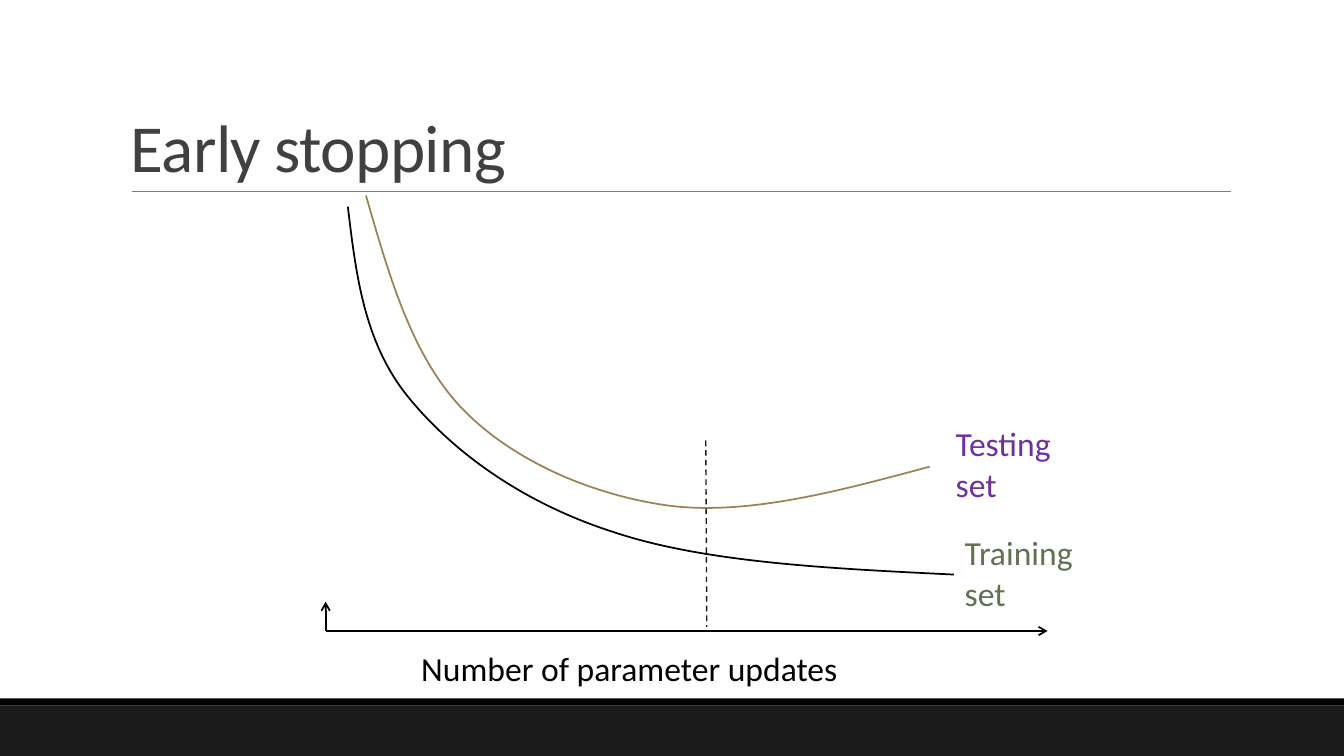
from lxml import etree
from pptx import Presentation
from pptx.dml.color import RGBColor
from pptx.enum.dml import MSO_LINE
from pptx.enum.shapes import MSO_CONNECTOR, MSO_SHAPE
from pptx.enum.text import MSO_ANCHOR, MSO_AUTO_SIZE
from pptx.oxml.ns import qn
from pptx.util import Pt

PX = 9144
STRAIGHT = MSO_CONNECTOR.STRAIGHT
RECTANGLE = MSO_SHAPE.RECTANGLE
DASH = MSO_LINE.DASH
TOP, BOTTOM = MSO_ANCHOR.TOP, MSO_ANCHOR.BOTTOM
FIXED, GROW = MSO_AUTO_SIZE.NONE, MSO_AUTO_SIZE.SHAPE_TO_FIT_TEXT

THEME = {
    "font": "Calibri",
    "title_size": 48,
    "label_size": 24,
    "title": RGBColor(0x40, 0x40, 0x40),
    "rule": RGBColor(0x80, 0x80, 0x80),
    "black": RGBColor(0, 0, 0),
    "footer": RGBColor(0x1C, 0x1C, 0x1C),
    "testing_curve": RGBColor(0x9B, 0x83, 0x57),
    "testing": RGBColor(0x70, 0x30, 0xA0),
    "training": RGBColor(0x63, 0x70, 0x52),
}

prs = Presentation()
prs.slide_width, prs.slide_height = 1333 * PX, 750 * PX
slide = prs.slides.add_slide(prs.slide_layouts[6])
shapes = slide.shapes


def add_text(text, box, color, size=THEME["label_size"], anchor=TOP, fit=GROW,
             line_spacing=None, tracking=None):
    frame = shapes.add_textbox(*(value * PX for value in box)).text_frame
    frame.word_wrap = True
    frame.auto_size = fit
    frame.vertical_anchor = anchor
    paragraph = frame.paragraphs[0]
    paragraph.line_spacing = line_spacing
    run = paragraph.add_run()
    run.text = text
    run.font.name = THEME["font"]
    run.font.size = Pt(size)
    run.font.color.rgb = color
    if tracking is not None:
        run.font._element.set("spc", str(tracking))


def add_line(ends, color, width, dash=None, arrow=False):
    connector = shapes.add_connector(STRAIGHT, *(value * PX for value in ends))
    connector.line.color.rgb = color
    connector.line.width = Pt(width)
    if dash is not None:
        connector.line.dash_style = dash
    if arrow:
        etree.SubElement(connector.line._get_or_add_ln(), qn("a:tailEnd"), type="arrow")
    etree.SubElement(connector._element.spPr, qn("a:effectLst"))


for top, height, color in ((700, 50, THEME["footer"]), (693, 7, THEME["black"])):
    band = shapes.add_shape(RECTANGLE, 0, top * PX, prs.slide_width, height * PX)
    band.shadow.inherit = False
    band.fill.solid()
    band.fill.fore_color.rgb = color
    band.line.fill.background()

add_line((131, 190, 1221, 190), THEME["rule"], 0.5)
add_text("Early stopping", (120, 31, 1100, 159), THEME["title"], size=THEME["title_size"],
         anchor=BOTTOM, fit=FIXED, line_spacing=0.85, tracking=-50)

for axis_end in ((1039, 626), (323, 597)):
    add_line((323, 626, *axis_end), THEME["black"], 1.25, arrow=True)

training_curve = [(345, 205), (353, 272), (361, 340), (405, 394), (449, 448),
                  (518, 499), (609, 528), (699, 558), (822, 564), (946, 570)]
testing_curve = [(363, 194), (386, 274), (409, 355), (460, 407), (510, 458),
                 (589, 492), (666, 502), (744, 511), (833, 487), (922, 463)]

for controls, color in ((training_curve, THEME["black"]), (testing_curve, THEME["testing_curve"])):
    builder = shapes.build_freeform(*controls[0], scale=PX)
    builder.add_line_segments(controls[1:], close=False)
    curve = builder.convert_to_shape()
    outline = curve._element.find(".//" + qn("a:path"))
    segments = outline.findall(qn("a:lnTo"))
    for first in range(0, len(segments), 3):
        bezier = etree.SubElement(outline, qn("a:cubicBezTo"))
        for segment in segments[first:first + 3]:
            bezier.append(segment[0])
            outline.remove(segment)
    curve.shadow.inherit = False
    curve.fill.background()
    curve.line.color.rgb = color
    curve.line.width = Pt(1.25)

add_line((700, 437, 701, 622), THEME["footer"], 1, dash=DASH)

add_text("Number of parameter updates", (408, 638, 546, 50), THEME["black"])
add_text("Training set", (947, 523, 166, 91), THEME["training"])
add_text("Testing set", (938, 415, 154, 91), THEME["testing"])

prs.save("out.pptx")
